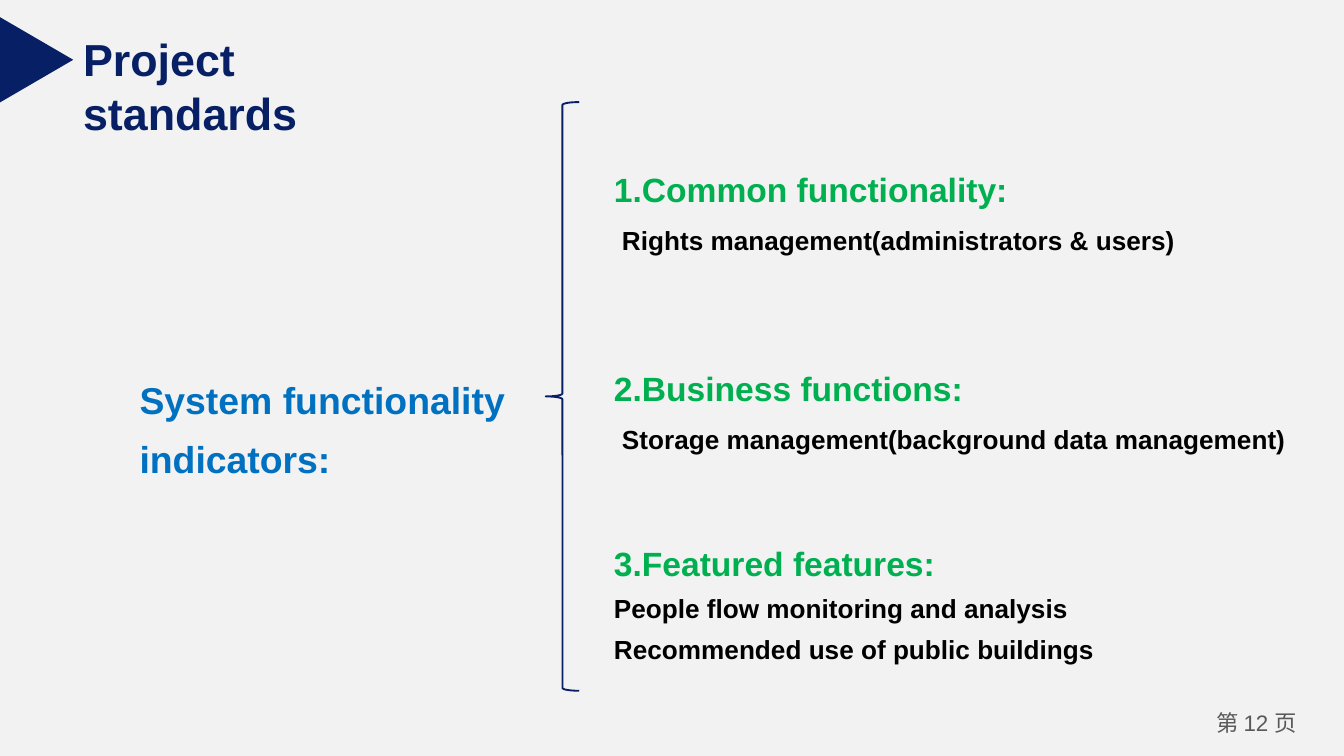
from lxml.etree import SubElement
from pptx import Presentation
from pptx.dml.color import RGBColor
from pptx.enum.shapes import MSO_SHAPE as Shape
from pptx.enum.text import PP_ALIGN as Align
from pptx.oxml.ns import qn
from pptx.util import Inches, Pt

NAVY, BLUE, GREEN, BLACK, GREY = "071F65", "0070C0", "00B050", "000000", "595959"
LATIN, CHINESE = "Arial", "Noto Sans CJK SC"


def colour(value):
    """Turn a hex string into a colour."""
    return RGBColor.from_string(value)


def style(span, size, value, bold=True, name=LATIN):
    """Set the font of one run."""
    span.font.size, span.font.bold, span.font.name = Pt(size), bold, name
    span.font.color.rgb = colour(value)
    SubElement(span.font._element, qn("a:ea"), typeface=name)


def add_box(page, left, top, width, height):
    """Add an empty wrapping text box and return its frame."""
    box = page.shapes.add_textbox(*map(Inches, (left, top, width, height)))
    box.text_frame.word_wrap = True
    return box.text_frame


def add_lines(page, left, top, width, height, lines, spacing=1.3):
    """Fill a text box with (text, size, colour) lines and return its paragraphs."""
    frame = add_box(page, left, top, width, height)
    frame.text = "\n".join(text for text, _, _ in lines)
    for para, (_, size, value) in zip(frame.paragraphs, lines):
        para.line_spacing = spacing
        style(para.runs[0], size, value)
    return frame.paragraphs


def add_header(page, left, top):
    """Place the pointer and the slide title."""
    pointer = page.shapes.add_shape(
        Shape.ISOSCELES_TRIANGLE, Inches(left - 0.05), Inches(top), Inches(0.64), Inches(0.55))
    pointer.rotation = 90
    pointer.shadow.inherit = False
    pointer.fill.solid()
    pointer.fill.fore_color.rgb = colour(NAVY)
    pointer.line.fill.background()
    add_lines(page, left + 0.52, top + 0.02, 2.9, 0.5, [("Project standards", 24, NAVY)], 1)


def add_brace(page, left, top, width, height):
    """Draw the brace that gathers the groups."""
    brace = page.shapes.add_shape(Shape.LEFT_BRACE, *map(Inches, (left, top, width, height)))
    brace.shadow.inherit = False
    brace.fill.background()
    brace.line.color.rgb = colour(NAVY)
    brace.line.width = Pt(1)


def add_group(page, left, top, width, height, heading, items, indented=False):
    """Place a green heading above its black items."""
    lines = [(heading, 18, GREEN)] + [(item, 14, BLACK) for item in items]
    paras = add_lines(page, left, top, width, height, lines)
    if indented:
        for para in paras[1:]:
            para.space_before = Pt(3)
            para._p.get_or_add_pPr().set("marL", str(Inches(0.06)))


def add_page_number(page, left, top, width, height):
    """Place the page number in two scripts."""
    frame = add_box(page, left, top, width, height)
    frame.margin_left = frame.margin_right = Inches(0.07)
    frame.margin_top = frame.margin_bottom = Inches(0.04)
    para = frame.paragraphs[0]
    para.alignment = Align.CENTER
    for text, name in (("第 ", CHINESE), ("12 ", LATIN), ("页", CHINESE)):
        span = para.add_run()
        span.text = text
        style(span, 12, GREY, False, name)


def main():
    """Build the slide and save it."""
    deck = Presentation()
    deck.slide_width = Inches(10)
    deck.slide_height = deck.slide_width * 9 // 16
    page = deck.slides.add_slide(deck.slide_layouts[6])
    page.background.fill.solid()
    page.background.fill.fore_color.rgb = colour("F2F2F2")
    add_page_number(page, 8.9, 5.24, 0.9, 0.3)
    add_header(page, 0, 0.17)
    add_lines(page, 0.94, 2.66, 3.53, 0.97, [("System functionality indicators:", 20, BLUE)])
    add_brace(page, 4.06, 0.76, 0.25, 4.38)
    add_group(page, 4.47, 1.12, 5, 0.84, "1.Common functionality:",
              ["Rights management(administrators & users)"], True)
    add_group(page, 4.47, 2.6, 5.27, 0.84, "2.Business functions:",
              ["Storage management(background data management)"], True)
    add_group(page, 4.47, 3.9, 5, 1.1, "3.Featured features:",
              ["People flow monitoring and analysis", "Recommended use of public buildings"])
    deck.save("out.pptx")


if __name__ == "__main__":
    main()
